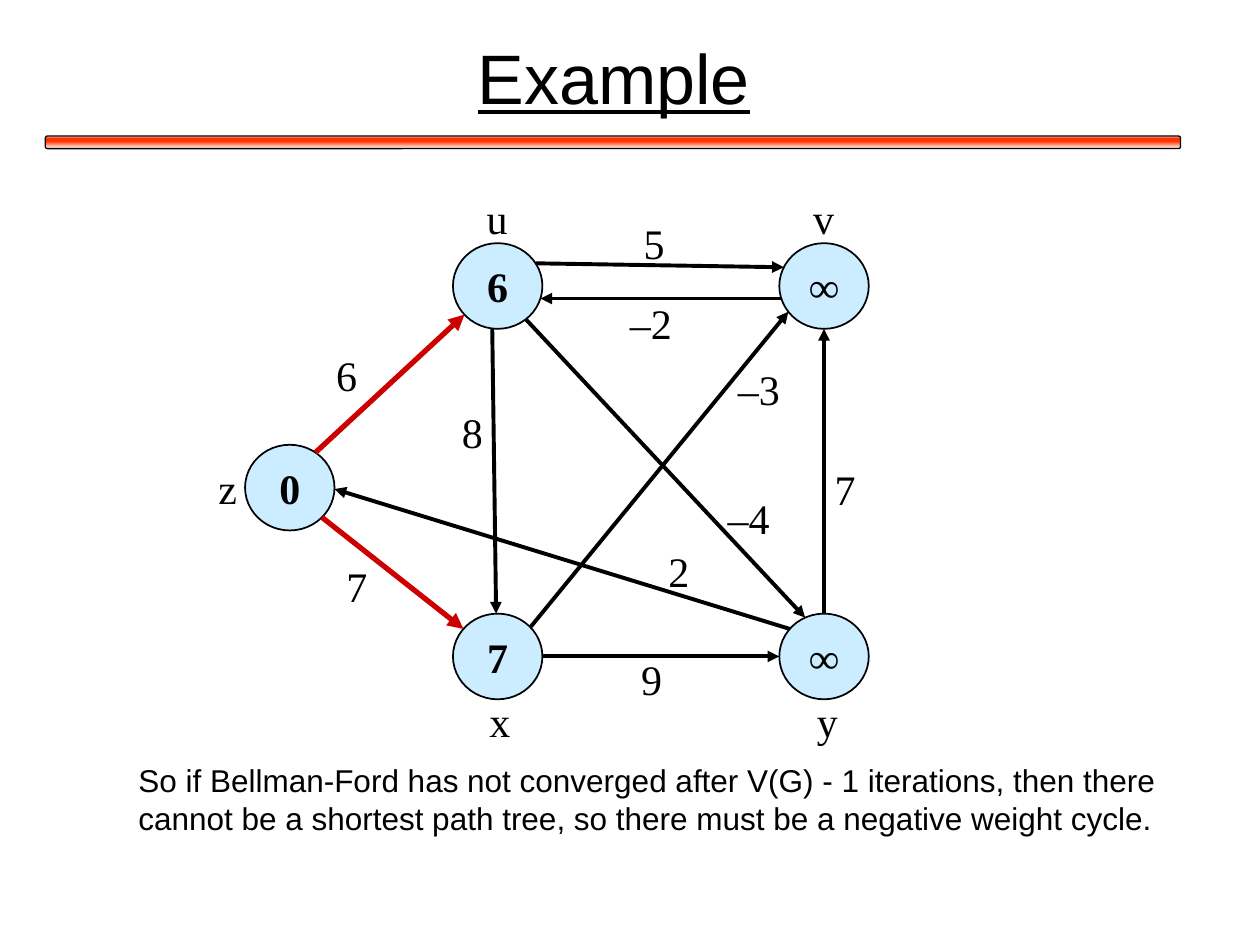
from dataclasses import dataclass
from math import cos, radians, sin

from lxml.etree import SubElement
from pptx import Presentation
from pptx.dml.color import RGBColor
from pptx.enum.shapes import MSO_CONNECTOR, MSO_SHAPE
from pptx.enum.text import MSO_ANCHOR, MSO_AUTO_SIZE, PP_ALIGN
from pptx.oxml.ns import qn
from pptx.util import Inches, Pt


@dataclass(frozen=True)
class Theme:
    ink: str = "000000"
    node: str = "CCECFF"
    tree: str = "CC0000"
    bar: str = "FF3300"
    paper: str = "FFFFFF"
    sans: str = "Arial"
    serif: str = "Times New Roman"
    title_size: float = 40
    graph_size: float = 24
    note_size: float = 18
    edge_width: float = 2.25
    tree_width: float = 3


THEME = Theme()
TITLE = "Example"
NOTE = ("So if Bellman-Ford has not converged after V(G) - 1 iterations, then there "
        "cannot be a shortest path tree, so there must be a negative weight cycle.")

# Grid of node centres, in inches
COLUMNS = (2.3, 3.95, 6.54)
ROWS = (2.27, 3.87, 5.21)
NODE_WIDTH, NODE_HEIGHT = 0.71, 0.68
LABEL_HEIGHT = 0.5

# name: (column, row, distance, name offset from the centre)
NODES = {
    "z": (0, 1, "0", (-0.48, 0)),
    "y": (2, 2, "∞", (0.03, 0.51)),
    "x": (1, 2, "7", (0.02, 0.51)),
    "v": (2, 0, "∞", (0, -0.54)),
    "u": (1, 0, "6", (0, -0.54)),
}

# (from, to, leaving angle, arriving angle, weight, weight offset from the midpoint)
# Angles run counter-clockwise around the node from its right side.
EDGES = [
    ("z", "u", 55, 222, "6", (-0.34, -0.07)),
    ("z", "x", 316, 140, "7", (-0.28, 0.1)),
    ("u", "x", 263, 92, "8", (-0.17, -0.31)),
    ("y", "v", 90, 270, "7", (0.17, 0.14)),
    ("x", "y", 0, 180, "9", (-0.07, 0.18)),
    ("u", "v", 32, 154, "5", (-0.04, -0.18)),
    ("x", "v", 43, 217, "–3", (0.79, -0.64)),
    ("y", "z", 140, 358, "2", (0.93, 0.09)),
    ("v", "u", 197, 343, "–2", (-0.08, 0.19)),
    ("u", "y", 309, 115, "–4", (0.66, 0.39)),
]
TREE_EDGES = {("z", "u"), ("z", "x")}


def color(value):
    return RGBColor.from_string(value)


def style(paragraph, size, face, bold=False):
    font = paragraph.font
    font.size, font.name, font.bold = Pt(size), face, bold
    font.color.rgb = color(THEME.ink)


def center(name):
    column, row = NODES[name][:2]
    return COLUMNS[column], ROWS[row]


def port(name, angle):
    """Point on the rim of a node."""
    x, y = center(name)
    turn = radians(angle)
    return x + NODE_WIDTH / 2 * cos(turn), y - NODE_HEIGHT / 2 * sin(turn)


def add_title(slide):
    title = slide.shapes.title
    title.left, title.top = Inches(0.37), Inches(0.11)
    title.width, title.height = Inches(9), Inches(0.99)
    title.text_frame.text = TITLE
    title.text_frame.vertical_anchor = MSO_ANCHOR.MIDDLE
    para = title.text_frame.paragraphs[0]
    para.alignment = PP_ALIGN.CENTER
    style(para, THEME.title_size, THEME.sans)
    para.font.underline = True


def add_bar(slide):
    bar = slide.shapes.add_shape(MSO_SHAPE.ROUNDED_RECTANGLE, Inches(0.36), Inches(1.08),
                                 Inches(9.01), Inches(0.1))
    bar.shadow.inherit = False
    bar.line.color.rgb = color(THEME.ink)
    bar.line.width = Pt(0.75)
    bar.fill.gradient()
    bar.fill.gradient_angle = 270
    stops = bar._element.spPr.find(".//" + qn("a:gsLst"))
    for stop in list(stops):
        stops.remove(stop)
    for percent, value in ((0, THEME.paper), (16, THEME.bar), (42, THEME.bar),
                           (100, THEME.paper)):
        stop = SubElement(stops, qn("a:gs"), pos=str(percent * 1000))
        SubElement(stop, qn("a:srgbClr"), val=value)


def add_label(slide, text, x, y):
    """Unwrapped graph label centred on a point."""
    width = 0.37 if len(text) == 1 else 0.53
    box = slide.shapes.add_textbox(Inches(x - width / 2), Inches(y - LABEL_HEIGHT / 2),
                                   Inches(width), Inches(LABEL_HEIGHT))
    frame = box.text_frame
    frame.text = text
    frame.word_wrap = False
    frame.auto_size = MSO_AUTO_SIZE.SHAPE_TO_FIT_TEXT
    style(frame.paragraphs[0], THEME.graph_size, THEME.serif)


def add_node(slide, name):
    x, y = center(name)
    distance, (dx, dy) = NODES[name][2:]
    node = slide.shapes.add_shape(MSO_SHAPE.OVAL, Inches(x - NODE_WIDTH / 2),
                                  Inches(y - NODE_HEIGHT / 2),
                                  Inches(NODE_WIDTH), Inches(NODE_HEIGHT))
    node.shadow.inherit = False
    node.fill.solid()
    node.fill.fore_color.rgb = color(THEME.node)
    node.line.color.rgb = color(THEME.ink)
    node.line.width = Pt(1)
    frame = node.text_frame
    frame.text = distance
    frame.word_wrap = False
    frame.vertical_anchor = MSO_ANCHOR.MIDDLE
    para = frame.paragraphs[0]
    para.alignment = PP_ALIGN.CENTER
    style(para, THEME.graph_size, THEME.serif, bold=True)
    add_label(slide, name, x + dx, y + dy)


def add_edge(slide, source, target, leaving, arriving, weight, offset):
    start, end = port(source, leaving), port(target, arriving)
    edge = slide.shapes.add_connector(MSO_CONNECTOR.STRAIGHT,
                                      *(Inches(length) for length in start + end))
    in_tree = (source, target) in TREE_EDGES
    edge.line.color.rgb = color(THEME.tree if in_tree else THEME.ink)
    edge.line.width = Pt(THEME.tree_width if in_tree else THEME.edge_width)
    SubElement(edge.line._get_or_add_ln(), qn("a:tailEnd"), type="triangle")
    SubElement(edge._element.spPr, qn("a:effectLst"))
    x, y = ((a + b) / 2 + shift for a, b, shift in zip(start, end, offset))
    add_label(slide, weight, x, y)


def add_note(slide):
    box = slide.shapes.add_textbox(Inches(1), Inches(5.99), Inches(8.7), Inches(0.71))
    frame = box.text_frame
    frame.text = NOTE
    frame.word_wrap = True
    frame.auto_size = MSO_AUTO_SIZE.SHAPE_TO_FIT_TEXT
    style(frame.paragraphs[0], THEME.note_size, THEME.sans)


def main():
    deck = Presentation()
    deck.slide_width, deck.slide_height = Inches(10), Inches(7.5)
    slide = deck.slides.add_slide(deck.slide_layouts[5])
    add_title(slide)
    add_bar(slide)
    for name in NODES:
        add_node(slide, name)
    for edge in EDGES:
        add_edge(slide, *edge)
    add_note(slide)
    deck.save("out.pptx")


if __name__ == "__main__":
    main()
